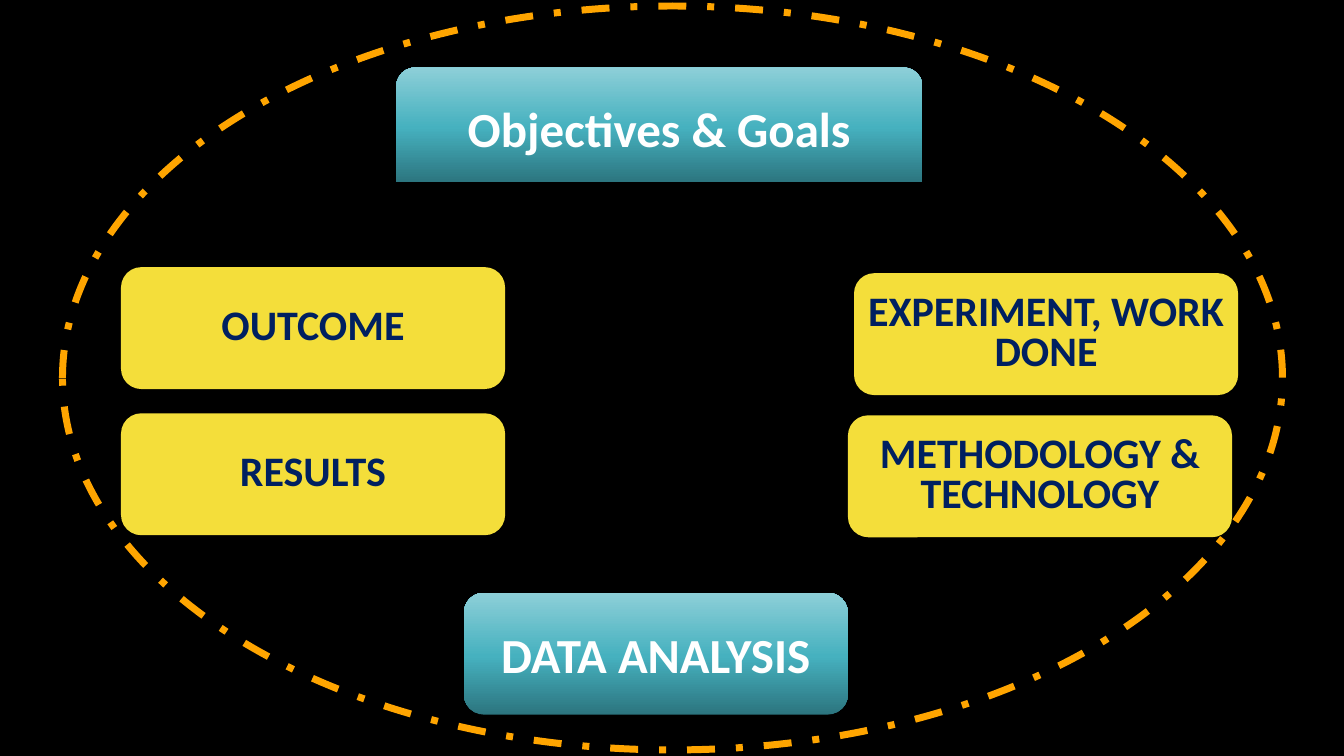
import copy

import pptx
import pptx.dml.color
import pptx.enum.dml
import pptx.enum.shapes
import pptx.enum.text
import pptx.util

Inches = pptx.util.Inches
Pt = pptx.util.Pt
Shape = pptx.enum.shapes.MSO_SHAPE

COLORS = {
    "back": "000000",
    "ring": "FFA500",
    "card": "F4DE3A",
    "navy": "002060",
    "white": "FFFFFF",
    "deep": "2C757F",
    "teal": "46B1BF",
    "pale": "8DCFD8",
}
FADE = [(0, "deep"), (0.48, "teal"), (1, "pale")]
CARD = (3.81, 1.21)


def tint(name):
    return pptx.dml.color.RGBColor.from_string(COLORS[name])


def write(shape, text, size, color, font="Calibri", space=None, inset=(0.1, 0.05)):
    frame = shape.text_frame
    frame.word_wrap = True
    frame.vertical_anchor = pptx.enum.text.MSO_ANCHOR.MIDDLE
    frame.margin_left = frame.margin_right = Inches(inset[0])
    frame.margin_top = frame.margin_bottom = Inches(inset[1])
    para = frame.paragraphs[0]
    para.alignment = pptx.enum.text.PP_ALIGN.CENTER
    if space:
        para.line_spacing = space
    run = para.add_run()
    run.text = text
    run.font.name = font
    run.font.size = Pt(size)
    run.font.bold = True
    run.font.color.rgb = tint(color)


class Board:
    def __init__(self, slide):
        self.slide = slide
        fill = slide.background.fill
        fill.solid()
        fill.fore_color.rgb = tint("back")

    def shape(self, kind, left, top, width, height):
        item = self.slide.shapes.add_shape(
            kind, Inches(left), Inches(top), Inches(width), Inches(height))
        item.shadow.inherit = False
        item.line.fill.background()
        return item

    def ring(self, *box):
        item = self.shape(Shape.OVAL, *box)
        item.fill.background()
        item.line.color.rgb = tint("ring")
        item.line.width = Pt(5)
        item.line.dash_style = pptx.enum.dml.MSO_LINE.DASH_DOT

    def card(self, text, left, top):
        item = self.shape(Shape.ROUNDED_RECTANGLE, left, top, *CARD)
        item.fill.solid()
        item.fill.fore_color.rgb = tint("card")
        write(item, text, 30, "navy", space=0.8, inset=(0.07, 0.04))

    def banner(self, text, kind, *box):
        item = self.shape(kind, *box)
        item.fill.gradient()
        item.fill.gradient_angle = 90
        last = item.element.spPr.xpath("./a:gradFill/a:gsLst/a:gs")[-1]
        last.addnext(copy.deepcopy(last))
        for stop, (place, color) in zip(item.fill.gradient_stops, FADE):
            stop.position = place
            stop.color.rgb = tint(color)
        write(item, text, 35, "white")


def main():
    deck = pptx.Presentation()
    deck.slide_width = Inches(13.33)
    deck.slide_height = Inches(7.5)
    board = Board(deck.slides.add_slide(deck.slide_layouts[6]))
    board.card("METHODOLOGY & TECHNOLOGY", 8.41, 4.12)
    board.card("RESULTS", 1.2, 4.1)
    board.banner("DATA ANALYSIS", Shape.ROUNDED_RECTANGLE, 4.6, 5.88, *CARD)
    board.ring(0.62, 0.06, 12.1, 7.38)
    board.card("EXPERIMENT, WORK DONE", 8.47, 2.71)
    board.banner("Objectives & Goals", Shape.ROUND_2_SAME_RECTANGLE,
                 3.93, 0.67, 5.22, 1.14)
    board.card("OUTCOME", 1.2, 2.65)
    deck.save("out.pptx")


if __name__ == "__main__":
    main()
